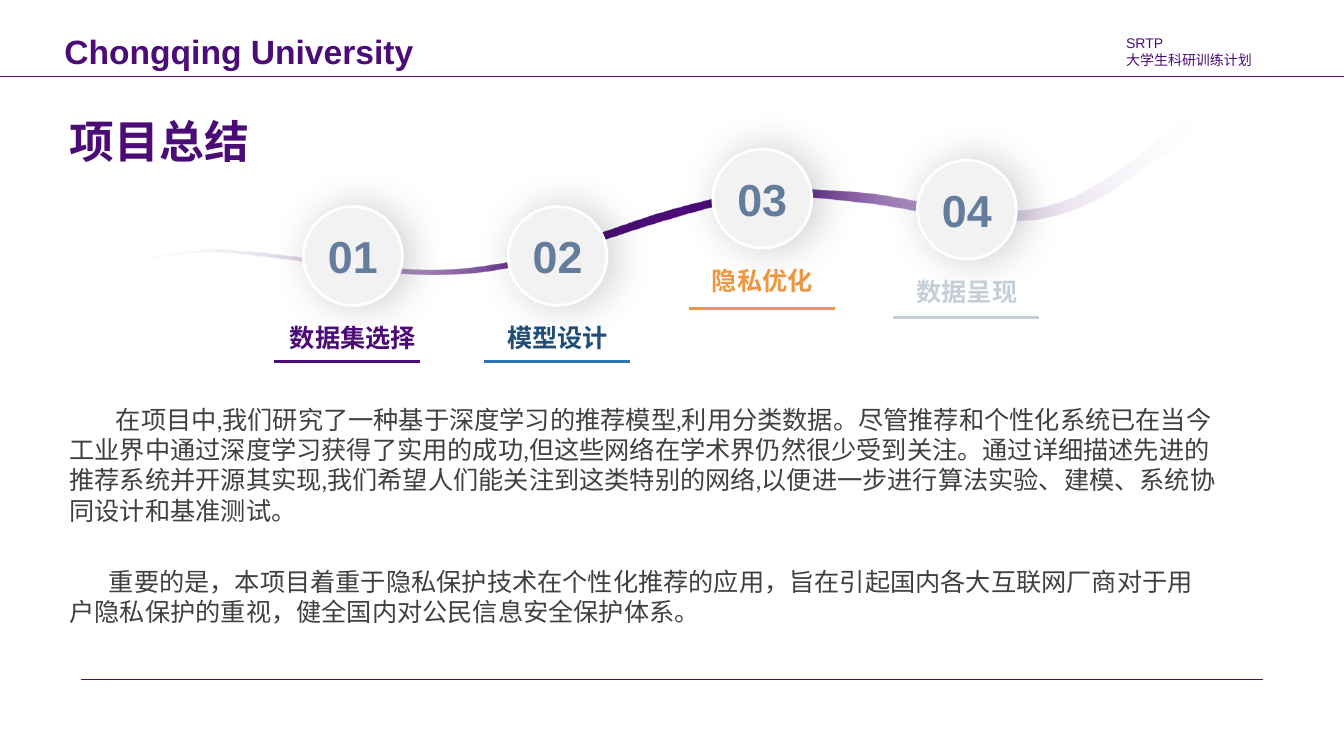
from dataclasses import dataclass

from lxml.etree import SubElement
from pptx import Presentation
from pptx.dml.color import RGBColor
from pptx.enum.shapes import MSO_CONNECTOR, MSO_SHAPE
from pptx.enum.text import MSO_ANCHOR, MSO_AUTO_SIZE, PP_ALIGN
from pptx.oxml import parse_xml
from pptx.oxml.ns import nsdecls, qn
from pptx.util import Inches, Pt


@dataclass(frozen=True)
class Theme:
    purple: str = "4B0C77"
    navy: str = "1F4E79"
    blue: str = "2E75B6"
    orange: str = "EE9640"
    mist: str = "C6CFD7"
    slate: str = "657D9D"
    disc: str = "F2F2F2"
    white: str = "FFFFFF"
    ink: str = "404040"
    font: str = "Arial"
    lato: str = "Lato"
    big: int = 32
    brand: int = 24
    body: int = 18
    small: int = 10


@dataclass(frozen=True)
class Stage:
    label: str
    top: float
    rule_x: float
    rule_y: float
    color: str
    rule: str


@dataclass(frozen=True)
class Para:
    text: str
    top: float
    width: float
    height: float
    indent: float
    font: str


T = Theme()
STAGES = [
    Stage("数据集选择", 2.05, 2.72, 3.59, T.purple, T.purple),
    Stage("模型设计", 2.05, 4.80, 3.59, T.navy, T.blue),
    Stage("隐私优化", 1.48, 6.83, 3.06, T.orange, T.orange),
    Stage("数据呈现", 1.59, 8.86, 3.15, T.mist, T.mist),
]
PARAS = [
    Para("在项目中,我们研究了一种基于深度学习的推荐模型,利用分类数据。尽管推荐和个性化系统已在当今工业界中"
         "通过深度学习获得了实用的成功,但这些网络在学术界仍然很少受到关注。通过详细描述先进的推荐系统并开源其"
         "实现,我们希望人们能关注到这类特别的网络,以便进一步进行算法实验、建模、系统协同设计和基准测试。",
         3.96, 11.63, 1.33, 0.46, T.lato),
    Para("重要的是，本项目着重于隐私保护技术在个性化推荐的应用，旨在引起国内各大互联网厂商对于用户隐私保护的重视，"
         "健全国内对公民信息安全保护体系。",
         5.57, 11.5, 0.71, 0.39, T.font),
]
# Ribbon stations: x, upper edge, lower edge
RIBBON = [
    (1.08, 2.62, 2.64), (1.69, 2.51, 2.53), (2.24, 2.47, 2.50),
    (3.12, 2.56, 2.60), (3.70, 2.63, 2.68), (4.30, 2.67, 2.72),
    (4.87, 2.62, 2.68), (5.30, 2.52, 2.58), (5.94, 2.31, 2.39),
    (6.57, 2.10, 2.19), (7.20, 1.94, 2.02), (7.63, 1.88, 1.96),
    (7.96, 1.87, 1.95), (8.67, 1.92, 2.02), (9.15, 2.00, 2.10),
    (9.70, 2.07, 2.18), (9.98, 2.09, 2.19), (10.30, 2.06, 2.17),
    (10.65, 1.95, 2.08), (11.00, 1.75, 1.91), (11.30, 1.54, 1.71),
    (11.61, 1.29, 1.49), (12.01, 0.97, 1.18),
]


def rgb(code: str) -> RGBColor:
    return RGBColor.from_string(code)


def place(shape, x: float, y: float, w: float, h: float) -> None:
    shape.left, shape.top = Inches(x), Inches(y)
    shape.width, shape.height = Inches(w), Inches(h)


def style(frame, size: int, color: str, bold: bool = False,
          font: str = T.font, align=PP_ALIGN.LEFT) -> None:
    for para in frame.paragraphs:
        para.alignment = align
        for run in para.runs:
            run.font.size, run.font.bold = Pt(size), bold
            run.font.name, run.font.color.rgb = font, rgb(color)


def add_text(slide, text: str, x: float, y: float, w: float, h: float):
    frame = slide.shapes.add_textbox(
        Inches(x), Inches(y), Inches(w), Inches(h)).text_frame
    frame.text = text
    frame.word_wrap = True
    return frame


def add_rule(slide, x: float, y: float, end: float, color: str, width: float) -> None:
    rule = slide.shapes.add_connector(
        MSO_CONNECTOR.STRAIGHT, Inches(x), Inches(y), Inches(end), Inches(y))
    rule.line.color.rgb, rule.line.width = rgb(color), Pt(width)
    SubElement(rule._element.spPr, qn("a:effectLst"))


def smooth(points: list, steps: int = 6) -> list:
    """Run a Catmull-Rom curve through the points."""
    pad = [points[0], *points, points[-1]]
    curve = []
    for a, b, c, d in zip(pad, pad[1:], pad[2:], pad[3:]):
        for step in range(steps):
            t = step / steps
            curve.append(tuple(
                q + t * (r - p) / 2 + t * t * (2 * p - 5 * q + 4 * r - s) / 2
                + t ** 3 * (3 * q - p - 3 * r + s) / 2
                for p, q, r, s in zip(a, b, c, d)))
    return curve + [points[-1]]


def add_ribbon(slide) -> None:
    upper = smooth([(x, top) for x, top, _ in RIBBON])
    lower = smooth([(x, low) for x, _, low in RIBBON])
    outline = [(Inches(x), Inches(y)) for x, y in upper + lower[::-1]]
    pen = slide.shapes.build_freeform(*outline[0])
    pen.add_line_segments(outline[1:], close=True)
    band = pen.convert_to_shape()
    band.shadow.inherit = False
    band.line.fill.background()
    band.fill.background()
    stops = "".join(
        f'<a:gs pos="{pos * 1000}"><a:srgbClr val="{color}">'
        f'<a:alpha val="{alpha * 1000}"/></a:srgbClr></a:gs>'
        for pos, color, alpha in [(0, T.white, 0), (40, T.purple, 100),
                                  (60, T.purple, 100), (100, T.white, 0)])
    props = band._element.spPr
    props.replace(props.find(qn("a:noFill")), parse_xml(
        f'<a:gradFill {nsdecls("a")}><a:gsLst>{stops}</a:gsLst>'
        '<a:lin ang="0" scaled="0"/></a:gradFill>'))


def add_stage(slide, index: int, stage: Stage) -> None:
    x = 3.01 + 2.03 * index
    disc = slide.shapes.add_shape(
        MSO_SHAPE.FLOWCHART_CONNECTOR,
        Inches(x), Inches(stage.top), Inches(0.98), Inches(0.98))
    disc.fill.solid()
    disc.fill.fore_color.rgb = rgb(T.disc)
    disc.line.color.rgb, disc.line.width = rgb(T.white), Pt(2)
    disc.shadow.inherit = False
    disc._element.spPr.find(qn("a:effectLst")).append(parse_xml(
        f'<a:outerShdw {nsdecls("a")} blurRad="{Pt(30)}" dist="{Pt(5)}" dir="0">'
        '<a:srgbClr val="000000"><a:alpha val="20000"/></a:srgbClr></a:outerShdw>'))
    frame = disc.text_frame
    frame.text = f"{index + 1:02}"
    frame.word_wrap = False
    frame.vertical_anchor = MSO_ANCHOR.MIDDLE
    style(frame, T.big, T.slate, True, align=PP_ALIGN.CENTER)
    label = add_text(slide, stage.label, x - 0.35, stage.top + 1.1, 1.68, 0.33)
    style(label, T.body, stage.color, True, align=PP_ALIGN.CENTER)
    add_rule(slide, stage.rule_x, stage.rule_y, stage.rule_x + 1.45, stage.rule, 2)


def fill_body(holder, para: Para) -> None:
    place(holder, 0.59, para.top, para.width, para.height)
    frame = holder.text_frame
    frame.text = para.text
    frame.auto_size = MSO_AUTO_SIZE.NONE
    style(frame, T.body, T.ink, font=para.font)
    first = frame.paragraphs[0]
    first.space_before = Pt(0)
    props = first._p.get_or_add_pPr()
    props.set("marL", "0")
    props.set("indent", str(Inches(para.indent)))
    SubElement(props, qn("a:buNone"))


def main() -> None:
    deck = Presentation()
    deck.slide_width, deck.slide_height = Inches(13.33), Inches(7.5)
    slide = deck.slides.add_slide(deck.slide_layouts[3])

    # Header and footer
    add_rule(slide, 0.8, 6.74, 12.53, T.purple, 0.5)
    note = add_text(slide, "SRTP\n大学生科研训练计划", 11.17, 0.34, 1.36, 0.34)
    note.margin_left = note.margin_right = note.margin_top = note.margin_bottom = 0
    note.word_wrap = False
    style(note, T.small, T.purple)
    brand = add_text(slide, "Chongqing University", 0.54, 0.26, 3.94, 0.5)
    style(brand, T.brand, T.purple, True)
    add_rule(slide, 0, 0.76, 13.33, T.purple, 1)

    # Title and body
    title, *bodies = slide.placeholders
    place(title, 0.59, 1.08, 2.69, 0.64)
    title.text_frame.text = "项目总结"
    title.text_frame.auto_size = MSO_AUTO_SIZE.NONE
    title.text_frame.vertical_anchor = MSO_ANCHOR.TOP
    style(title.text_frame, T.big, T.purple, True)
    for holder, para in zip(bodies, PARAS):
        fill_body(holder, para)

    # Stage path
    add_ribbon(slide)
    for index, stage in enumerate(STAGES):
        add_stage(slide, index, stage)
    deck.save("out.pptx")


if __name__ == "__main__":
    main()
